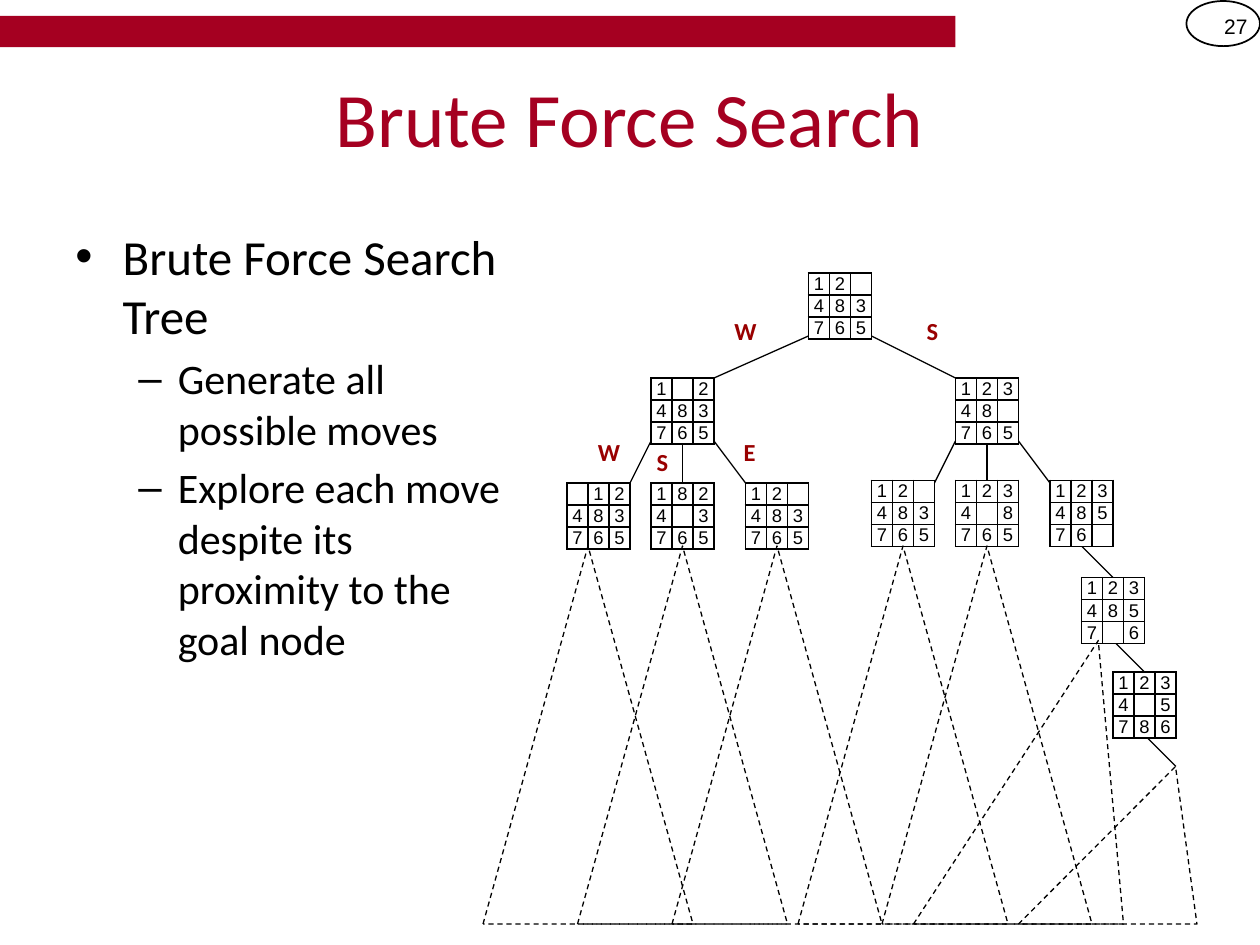
import pptx
import pptx.util
import pptx.dml.color
import pptx.enum.dml
import pptx.enum.shapes
import pptx.enum.text
import pptx.oxml.ns
import lxml.etree

CRIMSON = pptx.dml.color.RGBColor(0xA5, 0x00, 0x21)
DARK_RED = pptx.dml.color.RGBColor(0x99, 0x00, 0x00)
BLACK = pptx.dml.color.RGBColor(0, 0, 0)
WHITE = pptx.dml.color.RGBColor(255, 255, 255)

SHAPE = pptx.enum.shapes.MSO_SHAPE
ALIGN = pptx.enum.text.PP_ALIGN
MIDDLE = pptx.enum.text.MSO_ANCHOR.MIDDLE
Pt = pptx.util.Pt
qn = pptx.oxml.ns.qn

deck = pptx.Presentation()
deck.slide_width = pptx.util.Inches(10)
deck.slide_height = pptx.util.Inches(7.5)
page = deck.slides.add_slide(deck.slide_layouts[6])

# The page is a grid of 120 columns by 90 rows
UNIT = deck.slide_width / 120


def grid(*lengths):
    return [round(length * UNIT) for length in lengths]


def add_text(area, lines, size, color, font="Calibri", align=ALIGN.LEFT, bold=False):
    box = page.shapes.add_textbox(*grid(*area))
    frame = box.text_frame
    frame.word_wrap = True
    frame.text = "\n".join(lines)
    for para in frame.paragraphs:
        para.alignment = align
        for span in para.runs:
            span.font.size = Pt(size)
            span.font.name = font
            span.font.bold = bold
            span.font.color.rgb = color
    return frame


# Header bar and page number
bar = page.shapes.add_shape(SHAPE.RECTANGLE, *grid(0, 1.5, 91, 3))
bar.shadow.inherit = False
bar.fill.solid()
bar.fill.fore_color.rgb = CRIMSON
bar.line.fill.background()

badge = page.shapes.add_shape(SHAPE.OVAL, *grid(113, 0.1, 7, 4.3))
badge.shadow.inherit = False
badge.fill.background()
badge.line.color.rgb = BLACK
badge.line.width = Pt(1)

number = add_text((113, 0.1, 7, 4.8), ["27"], 12, BLACK, "Arial", ALIGN.RIGHT)
number.vertical_anchor = MIDDLE

# Title
title = add_text((6, 3.6, 108, 15), ["Brute Force Search"], 44, CRIMSON, align=ALIGN.CENTER)
title.vertical_anchor = MIDDLE

# Bulleted text
body = add_text((6, 21, 44, 67), [
    "Brute Force Search Tree",
    "Generate all possible moves",
    "Explore each move despite its proximity to the goal node",
], 24, BLACK)
for index, para in enumerate(body.paragraphs):
    size, bullet, margin, hanging = (24, "–", 9.75, 3.75) if index else (28, "•", 4.5, 4.5)
    para.runs[0].font.size = Pt(size)
    para.space_before = Pt(size * 0.2)
    properties = para._p.get_or_add_pPr()
    properties.set("lvl", "1" if index else "0")
    properties.set("marL", str(grid(margin)[0]))
    properties.set("indent", str(-grid(hanging)[0]))
    lxml.etree.SubElement(properties, qn("a:buFont"), typeface="Arial")
    lxml.etree.SubElement(properties, qn("a:buChar"), char=bullet)

# Branches of the search tree: start column, start row, end column, end row
branches = [
    (77, 32, 68, 36), (83, 32, 91, 36),
    (62, 42, 60, 46), (65, 42, 65, 46), (68, 42, 71, 46),
    (91, 42, 89, 46), (94, 42, 94, 46), (97, 42, 100, 46),
    (103, 52, 106, 55), (106, 61, 109, 64), (109, 70, 112, 73),
]
for branch in branches:
    line = page.shapes.add_connector(pptx.enum.shapes.MSO_CONNECTOR.STRAIGHT, *grid(*branch))
    line.line.color.rgb = BLACK
    line.line.width = Pt(0.75)
    lxml.etree.SubElement(line._element.spPr, qn("a:effectLst"))

# Puzzle boards: column, row, tiles read row by row
boards = [
    (77, 26, "12 483765"),
    (62, 36, "1 2483765"), (91, 36, "12348 765"),
    (54, 46, " 12483765"), (62, 46, "1824 3765"), (71, 46, "12 483765"),
    (83, 45.75, "12 483765"), (91, 45.75, "1234 8765"), (100, 45.75, "12348576 "),
    (103, 55, "1234857 6"), (106, 64, "1234 5786"),
]
for column, row, tiles in boards:
    table = page.shapes.add_table(3, 3, *grid(column, row, 6, 6)).table
    table.first_row = False
    table.horz_banding = False
    for cell, tile in zip(table.iter_cells(), tiles):
        cell.text = tile.strip()
        cell.margin_left = cell.margin_right = cell.margin_top = cell.margin_bottom = 0
        cell.vertical_anchor = MIDDLE
        para = cell.text_frame.paragraphs[0]
        para.alignment = ALIGN.CENTER
        for span in para.runs:
            span.font.size = Pt(10.5)
            span.font.name = "Arial"
            span.font.color.rgb = BLACK
        # The end mark keeps the empty cells as low as the others
        lxml.etree.SubElement(para._p, qn("a:endParaRPr"), sz="1050")
        properties = cell._tc.get_or_add_tcPr()
        for side in ("a:lnL", "a:lnR", "a:lnT", "a:lnB"):
            border = lxml.etree.SubElement(properties, qn(side), w=str(Pt(1)))
            paint = lxml.etree.SubElement(border, qn("a:solidFill"))
            lxml.etree.SubElement(paint, qn("a:srgbClr"), val=str(BLACK))
        cell.fill.solid()
        cell.fill.fore_color.rgb = WHITE

# Unexplored subtrees, all reaching down to row 88: left, top, width, apex share
subtrees = [(left, 52, 20, 0.5) for left in (46, 55, 64, 76, 84)]
subtrees += [(87, 61, 20, 0.88), (97, 73, 17, 0.88)]
for left, top, width, apex in subtrees:
    subtree = page.shapes.add_shape(SHAPE.ISOSCELES_TRIANGLE, *grid(left, top, width, 88 - top))
    subtree.adjustments[0] = apex
    subtree.shadow.inherit = False
    subtree.fill.background()
    subtree.line.color.rgb = BLACK
    subtree.line.width = Pt(0.75)
    subtree.line.dash_style = pptx.enum.dml.MSO_LINE.DASH

# Move labels
moves = [("W", 68, 29.5), ("S", 85.8, 29.5), ("W", 55, 41), ("S", 60.1, 42), ("E", 68.4, 41)]
for move, column, row in moves:
    add_text((column, row, 6, 5), [move], 14, DARK_RED, align=ALIGN.CENTER, bold=True)

deck.save("out.pptx")
